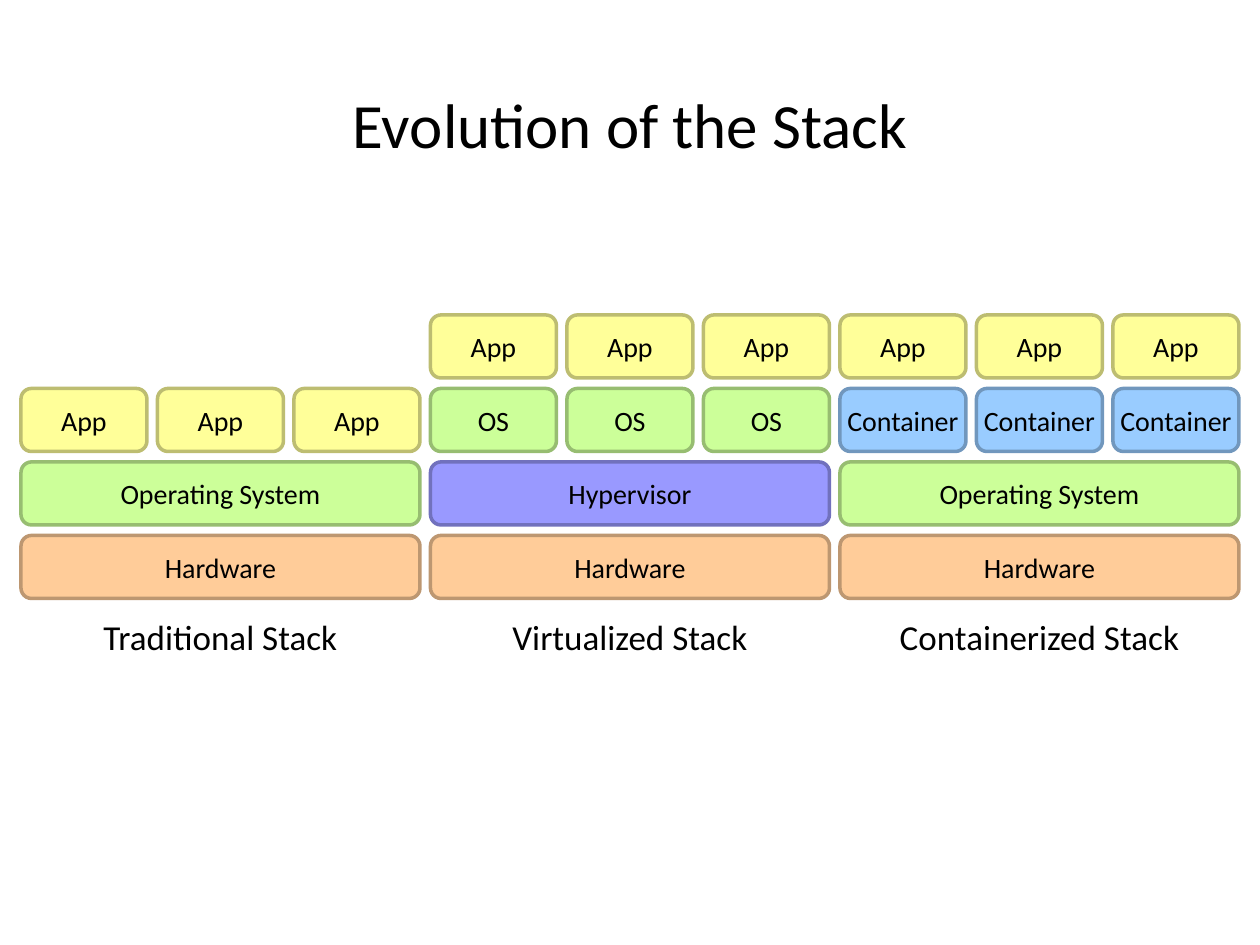
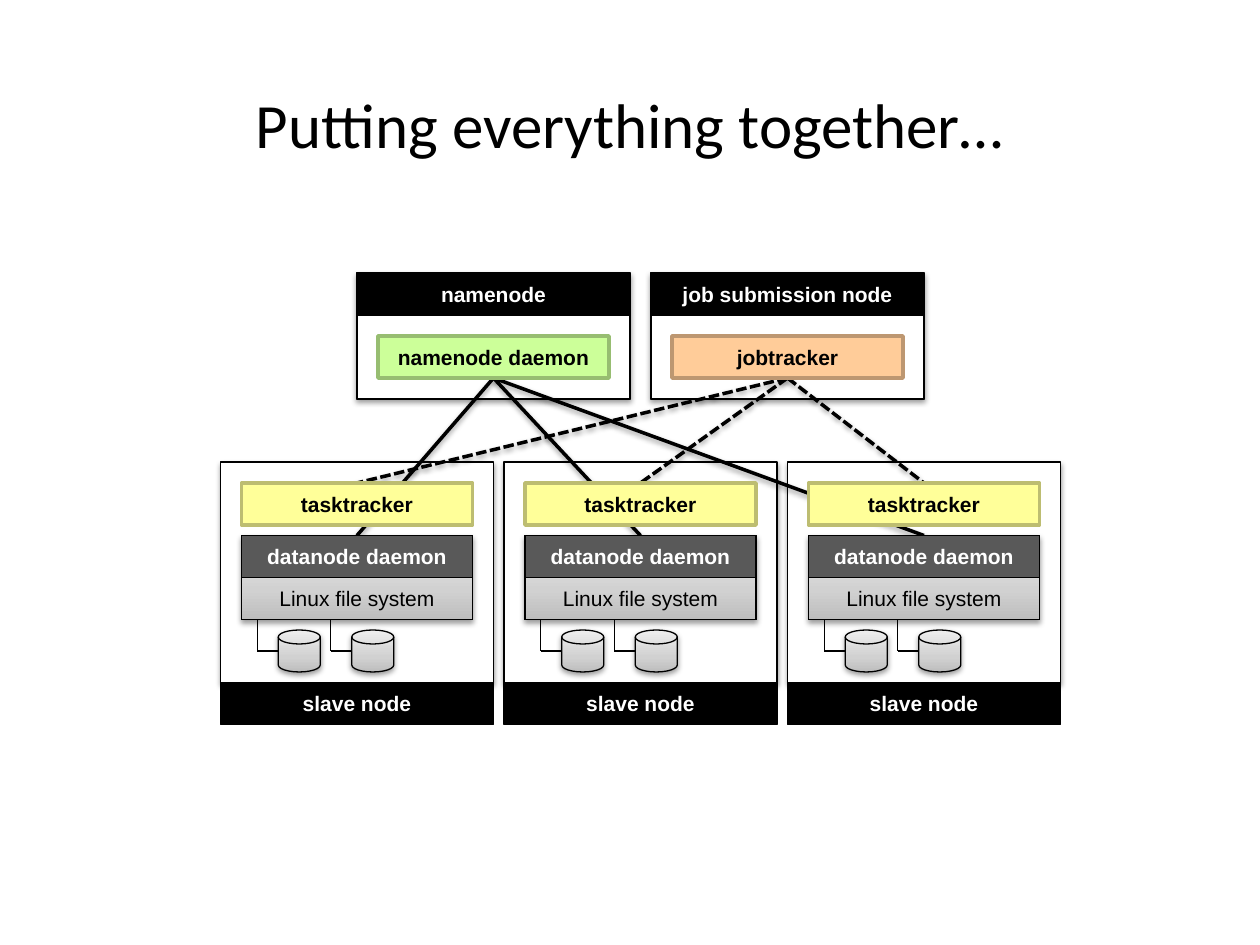
from dataclasses import dataclass

from lxml.etree import SubElement
from pptx import Presentation
from pptx.dml.color import RGBColor
from pptx.enum.dml import MSO_LINE_DASH_STYLE as Dash
from pptx.enum.shapes import MSO_CONNECTOR as Connector, MSO_SHAPE as Shape
from pptx.enum.text import MSO_ANCHOR as Anchor, MSO_AUTO_SIZE as AutoSize, PP_ALIGN as Align
from pptx.oxml import parse_xml
from pptx.oxml.ns import nsdecls, qn
from pptx.util import Inches, Pt

# Content: each stack lists its layers from the hardware up, as (label, count, colour)
STACK_TITLE = "Evolution of the Stack"
STACKS = [
    ("Traditional Stack", [("Hardware", 1, "orange"), ("Operating System", 1, "green"),
                           ("App", 3, "yellow")]),
    ("Virtualized Stack", [("Hardware", 1, "orange"), ("Hypervisor", 1, "violet"),
                           ("OS", 3, "green"), ("App", 3, "yellow")]),
    ("Containerized Stack", [("Hardware", 1, "orange"), ("Operating System", 1, "green"),
                             ("Container", 3, "blue"), ("App", 3, "yellow")]),
]

CLUSTER_TITLE = "Putting everything together…"
# Masters: header, daemon, colour, link dash, top of the linked daemon in grid units
MASTERS = [
    ("namenode", "namenode daemon", "green", None, 51),
    ("job submission node", "jobtracker", "orange", Dash.SQUARE_DOT, 46),
]
SLAVE = {"tracker": "tasktracker", "daemon": "datanode daemon",
         "storage": "Linux file system", "footer": "slave node"}
SLAVE_COUNT = 3
DISK_COUNT = 2


# Theme
@dataclass(frozen=True)
class Theme:
    black = "000000"
    white = "FFFFFF"
    dark = "595959"
    silver = ((0, "BDBDBD"), (35, "D1D1D1"), (100, "EEEEEE"))
    pairs = {  # fill, outline
        "orange": ("FFCC99", "BD9771"),
        "green": ("CCFF99", "97BD71"),
        "yellow": ("FFFF99", "BDBD71"),
        "violet": ("9999FF", "7171BD"),
        "blue": ("99CCFF", "7197BD"),
    }
    title = {"name": "Calibri", "size": Pt(36), "bold": False}
    caption = {"name": "Calibri", "size": Pt(20), "bold": False}
    layer = {"name": "Calibri", "size": Pt(16), "bold": False}
    strong = {"name": "Arial", "size": Pt(12), "bold": True}
    plain = {"name": "Arial", "size": Pt(12), "bold": False}
    thin = 0.75
    thick = 2


THEME = Theme()


# Helpers: places are counted in twelfths of an inch
def grid(*units):
    return [Inches(unit / 12) for unit in units]


def write(holder, text, style, colour=THEME.black):
    frame = holder.text_frame
    frame_format = {"word_wrap": True, "auto_size": AutoSize.NONE,
                    "vertical_anchor": Anchor.MIDDLE,
                    "margin_left": 0, "margin_right": 0}
    for key, value in frame_format.items():
        setattr(frame, key, value)
    frame.text = text
    paragraph = frame.paragraphs[0]
    paragraph.alignment = Align.CENTER
    for key, value in style.items():
        setattr(paragraph.font, key, value)
    paragraph.font.color.rgb = RGBColor.from_string(colour)


def outline(part, colour, width, shadow=False):
    part.line.color.rgb = RGBColor.from_string(colour)
    part.line.width = Pt(width)
    effects = SubElement(part._element.spPr, qn("a:effectLst"))
    if shadow:
        effects.append(parse_xml(
            f'<a:outerShdw {nsdecls("a")} blurRad="40000" dist="20000" dir="5400000" '
            f'rotWithShape="0"><a:srgbClr val="{THEME.black}"><a:alpha val="38000"/>'
            '</a:srgbClr></a:outerShdw>'))


def paint_silver(part):
    part.fill.gradient()
    properties = part._element.spPr
    stops = "".join(f'<a:gs pos="{position * 1000}"><a:srgbClr val="{colour}"/></a:gs>'
                    for position, colour in THEME.silver)
    properties.replace(properties.find(qn("a:gradFill")), parse_xml(
        f'<a:gradFill {nsdecls("a")} rotWithShape="1"><a:gsLst>{stops}</a:gsLst>'
        '<a:lin ang="16200000" scaled="0"/></a:gradFill>'))


def add_box(shapes, place, fill=None, edge=THEME.black, width=THEME.thin,
            kind=Shape.RECTANGLE, shadow=False):
    box = shapes.add_shape(kind, *grid(*place))
    if fill is None:
        box.fill.background()
    elif fill is THEME.silver:
        paint_silver(box)
    else:
        box.fill.solid()
        box.fill.fore_color.rgb = RGBColor.from_string(fill)
    outline(box, edge, width, shadow)
    return box


def add_coloured(shapes, place, text, colour, style, kind=Shape.RECTANGLE):
    fill, edge = THEME.pairs[colour]
    write(add_box(shapes, place, fill, edge, THEME.thick, kind), text, style)


def add_bar(shapes, place, text, fill):
    write(add_box(shapes, place, fill), text, THEME.strong, THEME.white)


def add_line(shapes, start, end, width=THEME.thin, dash=None, shadow=False):
    line = shapes.add_connector(Connector.STRAIGHT, *grid(*start, *end))
    outline(line, THEME.black, width, shadow)
    if dash:
        line.line.dash_style = dash


def add_titled_slide(deck, text):
    slide = deck.slides.add_slide(deck.slide_layouts[5])
    title = slide.shapes.title
    place = {"left": 0, "top": Inches(0.6), "width": Inches(10), "height": Inches(0.75)}
    for key, value in place.items():
        setattr(title, key, value)
    write(title, text, THEME.title)
    return slide.shapes


# Slide 1: three stacks of layers
def build_stacks(deck):
    shapes = add_titled_slide(deck, STACK_TITLE)
    cell, layer_height, gap = 12, 6, 1
    stack_width = 3 * cell + 2 * gap
    for column, (caption, layers) in enumerate(STACKS):
        stack = shapes.add_group_shape().shapes
        left = 2 + column * (stack_width + gap)
        for level, (label, count, colour) in enumerate(layers):
            top = 51 - level * (layer_height + gap)
            width = stack_width if count == 1 else cell
            for index in range(count):
                place = (left + index * (cell + gap), top, width, layer_height)
                add_coloured(stack, place, label, colour, THEME.layer,
                             Shape.ROUNDED_RECTANGLE)
        caption_box = stack.add_textbox(*grid(left + 4, 58, stack_width - 8, 5.25))
        write(caption_box, caption, THEME.caption)


# Slide 2: masters linked to slave nodes
PANEL, INNER, INSET, BAR = 26, 22, 2, 4
MASTER_TOP, SLAVE_TOP = 26, 44
MASTER_LEFTS = [34 + index * (PANEL + 2) for index in range(len(MASTERS))]
SLAVE_LEFTS = [21 + index * (PANEL + 1) for index in range(SLAVE_COUNT)]


def add_slave(shapes, left):
    inner = left + INSET
    add_box(shapes, (inner, 51, INNER, 2 * BAR), THEME.silver, shadow=True)
    add_bar(shapes, (inner, 51, INNER, BAR), SLAVE["daemon"], THEME.dark)
    storage = add_box(shapes, (inner, 55, INNER, BAR))
    write(storage, SLAVE["storage"], THEME.plain)
    for index in range(DISK_COUNT):
        stem = left + 3.5 + index * 7
        add_box(shapes, (stem + 2, 60, BAR, BAR), THEME.silver,
                kind=Shape.FLOWCHART_MAGNETIC_DISK, shadow=True)
        add_line(shapes, (stem, 59), (stem, 62))
        add_line(shapes, (stem, 62), (stem + 2, 62))
    add_coloured(shapes, (inner, 46, INNER, BAR), SLAVE["tracker"], "yellow", THEME.strong)
    add_bar(shapes, (left, 65, PANEL, BAR), SLAVE["footer"], THEME.black)


def build_cluster(deck):
    shapes = add_titled_slide(deck, CLUSTER_TITLE)
    # Panels
    for left in MASTER_LEFTS:
        add_box(shapes, (left, MASTER_TOP, PANEL, 12), THEME.white, shadow=True)
    for left in SLAVE_LEFTS:
        add_box(shapes, (left, SLAVE_TOP, PANEL, 21), THEME.white, shadow=True)
    # Links from each master to every slave
    for left, (_, _, _, dash, target_top) in zip(MASTER_LEFTS, MASTERS):
        for slave_left in SLAVE_LEFTS:
            add_line(shapes, (left + PANEL / 2, 36), (slave_left + PANEL / 2, target_top),
                     THEME.thick, dash, shadow=True)
    # Node contents
    for left in SLAVE_LEFTS:
        add_slave(shapes, left)
    for left, (header, daemon, colour, _, _) in zip(MASTER_LEFTS, MASTERS):
        add_bar(shapes, (left, MASTER_TOP, PANEL, BAR), header, THEME.black)
        add_box(shapes, (left, MASTER_TOP + BAR, PANEL, 8))
        add_coloured(shapes, (left + INSET, 32, INNER, BAR), daemon, colour, THEME.strong)


def main():
    deck = Presentation()
    deck.slide_width, deck.slide_height = Inches(10), Inches(7.5)
    build_stacks(deck)
    build_cluster(deck)
    deck.save("out.pptx")


if __name__ == "__main__":
    main()
